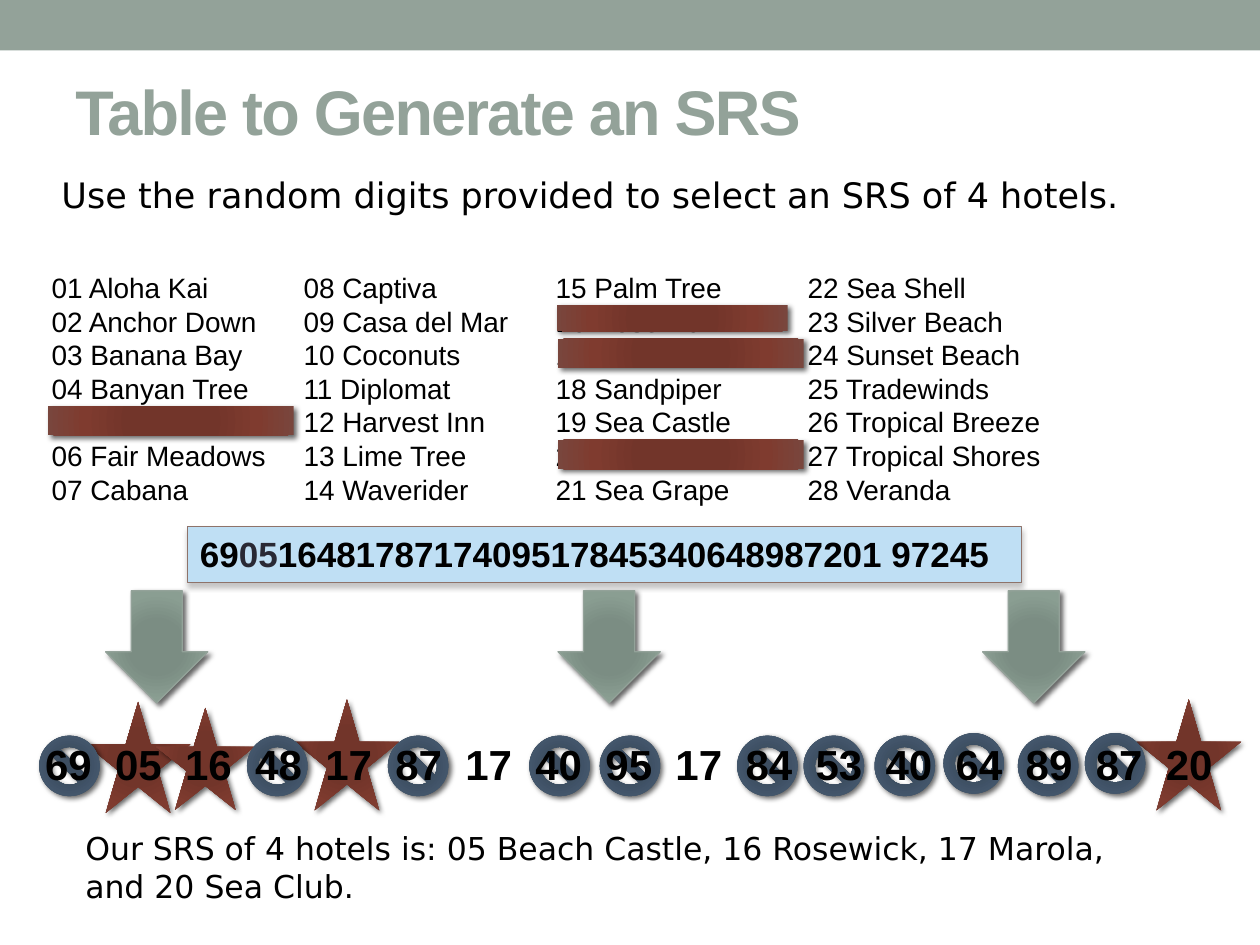
from lxml import etree
from pptx import Presentation
from pptx.dml.color import RGBColor
from pptx.enum.shapes import MSO_SHAPE as Preset
from pptx.enum.text import MSO_ANCHOR as Anchor, PP_ALIGN as Align
from pptx.oxml.ns import qn
from pptx.util import Cm, Pt

SAGE, BLACK = "93A299", "000000"
RUST_STOPS = ((0, "743327"), (34, "72352A"), (70, "7F3B2F"), (100, "79463D"))
SAGE_STOPS = ((0, "7B8E82"), (34, "7B8D83"), (70, "8A9E92"), (100, SAGE))
NAVY_STOPS = ((0, "3B4D61"), (34, "3C4D60"), (70, "43566B"), (100, "4C5A6A"))

HOTELS = (
    ("01 Aloha Kai", "08 Captiva", "15 Palm Tree", "22 Sea Shell"),
    ("02 Anchor Down", "09 Casa del Mar", "16 Rosewick", "23 Silver Beach"),
    ("03 Banana Bay", "10 Coconuts", "17 Marola", "24 Sunset Beach"),
    ("04 Banyan Tree", "11 Diplomat", "18 Sandpiper", "25 Tradewinds"),
    ("05 Beach Castle", "12 Harvest Inn", "19 Sea Castle", "26 Tropical Breeze"),
    ("06 Fair Meadows", "13 Lime Tree", "20 Sea Club", "27 Tropical Shores"),
    ("07 Cabana", "14 Waverider", "21 Sea Grape", "28 Veranda"),
)
PAIRS = "69 05 16 48 17 87 17 40 95 17 84 53 40 64 89 87 20".split()


def color(value):
    return RGBColor.from_string(value)


def add_child(parent, tag, **attributes):
    return etree.SubElement(parent, qn(tag), {k: str(v) for k, v in attributes.items()})


def add_tabs(para, stops):
    tabs = add_child(para._p.get_or_add_pPr(), "a:tabLst")
    for stop in stops:
        add_child(tabs, "a:tab", pos=int(Cm(stop)), algn="l")


def add_span(para, text, size, font="Arial", fill=BLACK, bold=False):
    span = para.add_run()
    span.text = text
    span.font.size, span.font.name, span.font.bold = Pt(size), font, bold
    span.font.color.rgb = color(fill)
    return span


def add_box(page, left, top, width, height, wrap=True):
    box = page.shapes.add_textbox(Cm(left), Cm(top), Cm(width), Cm(height))
    box.text_frame.word_wrap = wrap
    return box.text_frame


def add_figure(page, preset, left, top, width, height, fill, line=None, line_width=0.75):
    figure = page.shapes.add_shape(preset, Cm(left), Cm(top), Cm(width), Cm(height))
    figure.shadow.inherit = False
    figure.fill.solid()
    figure.fill.fore_color.rgb = color(fill)
    if line:
        figure.line.color.rgb = color(line)
        figure.line.width = Pt(line_width)
    else:
        figure.line.fill.background()
    return figure


def add_shadow(figure, shade=BLACK, alpha=60, distance=2, angle=45):
    effects = figure._element.spPr.find(qn("a:effectLst"))
    shadow = add_child(effects, "a:outerShdw", blurRad=int(Pt(3)), dist=int(Pt(distance)),
                       dir=angle * 60000, algn="ctr", rotWithShape=0)
    add_child(add_child(shadow, "a:srgbClr", val=shade), "a:alpha", val=alpha * 1000)


def add_glossy(page, preset, left, top, width, height, stops, line=None):
    """A shape with a radial gradient and a soft shadow."""
    figure = add_figure(page, preset, left, top, width, height, stops[0][1], line)
    properties = figure._element.spPr
    gradient = etree.Element(qn("a:gradFill"), rotWithShape="1")
    stop_list = add_child(gradient, "a:gsLst")
    for position, shade in stops:
        stop = add_child(stop_list, "a:gs", pos=position * 1000)
        add_child(stop, "a:srgbClr", val=shade)
    path = add_child(gradient, "a:path", path="circle")
    add_child(path, "a:fillToRect", l=100000, t=100000, r=100000, b=100000)
    properties.replace(properties.find(qn("a:solidFill")), gradient)
    add_shadow(figure)


def add_heading(page, left, top, width, height):
    # Band, title and task
    add_figure(page, Preset.RECTANGLE, left, top, width, 1.02, SAGE)
    title = add_box(page, left + 1.27, top + 1.47, width - 2.54, 1.6)
    title.margin_top = 0
    span = add_span(title.paragraphs[0], "Table to Generate an SRS", 36, fill=SAGE, bold=True)
    span.font._element.set("spc", "-100")
    task = add_box(page, left + 0.99, top + 3.38, 22.2, height - 3.38, wrap=False)
    add_span(task.paragraphs[0], "Use the random digits provided to select an SRS of 4 hotels.",
             20, "DejaVu Sans")


def add_hotels(page, left, top, width, height):
    # Numbered hotels in four columns
    frame = add_box(page, left, top, width, height)
    for index, row in enumerate(HOTELS):
        para = frame.paragraphs[0] if index == 0 else frame.add_paragraph()
        para.line_spacing = Pt(19.2)
        add_tabs(para, [5.08 * column for column in (1, 2, 3)])
        add_span(para, "\t".join(row), 16)
    # Bars over the chosen hotels
    for x, row, bar_width, bar_height in ((0.18, 4, 4.95, 0.59), (10.46, 2, 4.95, 0.59),
                                          (10.46, 5, 4.95, 0.59), (10.44, 1, 4.65, 0.53)):
        add_glossy(page, Preset.RECTANGLE, left + x, top + 0.14 + 0.68 * row,
                   bar_width, bar_height, RUST_STOPS)


def add_digits(page, left, top, width, height):
    # Random digits
    panel = add_figure(page, Preset.RECTANGLE, left + 1.65, top, 16.81, 1.12,
                       "BFDFF4", "8E736A", 0.79)
    add_shadow(panel, "808080", 45, 2.4, 90)
    frame = panel.text_frame
    frame.word_wrap = True
    frame.vertical_anchor = Anchor.TOP
    para = frame.paragraphs[0]
    para.alignment = Align.LEFT
    for text, fill in (("69", BLACK), ("05", "292934"),
                       ("1648178717409517845340648987201 97245", BLACK)):
        add_span(para, text, 20, fill=fill, bold=True)
    # Arrows down to the pairs
    for x in (0, 9.12, width - 2.06):
        add_glossy(page, Preset.DOWN_ARROW, left + x, top + height - 2.26, 2.06, 2.26,
                   SAGE_STOPS, SAGE)


def add_pairs(page, left, top, width, height):
    # Stars on chosen pairs
    for x, y, star_width, star_height in ((1.07, 0.05, 2.11, 2.24), (5.28, 0, 2.11, 2.24),
                                          (22.25, 0, 2.11, 2.24), (2.49, 0.17, 1.98, 2.06)):
        add_glossy(page, Preset.STAR_5_POINT, left + x, top + y, star_width, star_height,
                   RUST_STOPS)
    # Crossed rings on rejected pairs
    for x, y in ((0.13, 0.73), (4.32, 0.73), (7.16, 0.73), (10.01, 0.73), (11.43, 0.73),
                 (14.2, 0.73), (15.54, 0.73), (16.97, 0.73), (18.36, 0.68), (19.86, 0.73),
                 (21.21, 0.68)):
        add_glossy(page, Preset.NO_SYMBOL, left + x, top + y, 1.22, 1.22, NAVY_STOPS)
    # Pairs at equal steps
    para = add_box(page, left, top + 0.66, width, height - 0.66).paragraphs[0]
    add_tabs(para, [1.412 * step for step in range(1, len(PAIRS))])
    add_span(para, "\t".join(PAIRS), 24, bold=True)


def add_answer(page, left, top, width, height):
    para = add_box(page, left, top, width, height).paragraphs[0]
    add_span(para, "Our SRS of 4 hotels is: 05 Beach Castle, 16 Rosewick, 17 Marola, "
                   "and 20 Sea Club.", 18, "DejaVu Sans")


def main():
    deck = Presentation()
    deck.slide_width, deck.slide_height = Cm(25.4), Cm(19.05)
    page = deck.slides.add_slide(deck.slide_layouts[6])
    add_heading(page, 0, 0, 25.4, 4.5)
    add_hotels(page, 0.79, 5.33, 20.75, 5.05)
    add_digits(page, 2.13, 10.62, 19.74, 3.55)
    add_pairs(page, 0.66, 14.1, 24.36, 1.93)
    add_answer(page, 1.47, 16.59, 22.45, 1.8)
    deck.save("out.pptx")


if __name__ == "__main__":
    main()
